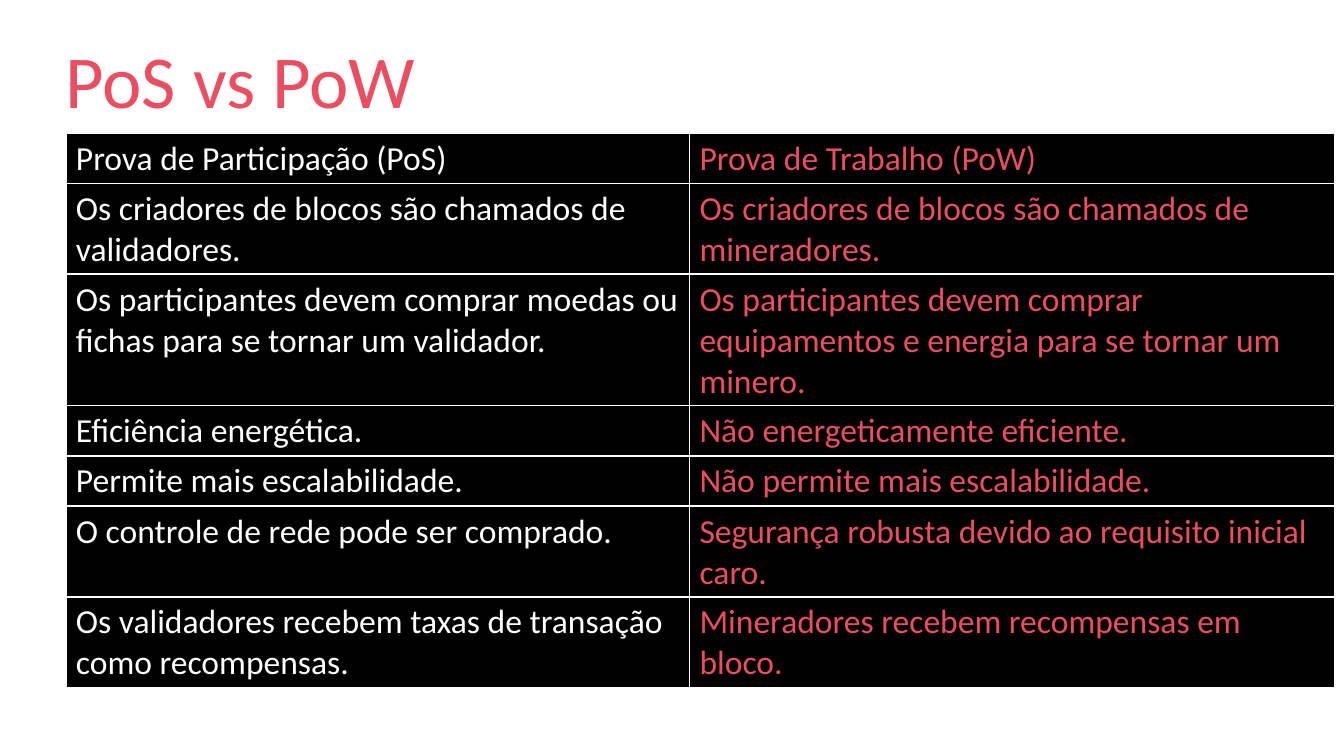
from lxml.etree import SubElement
from pptx import Presentation
from pptx.dml.color import RGBColor
from pptx.enum.text import MSO_AUTO_SIZE as AutoSize
from pptx.oxml.ns import qn
from pptx.util import Inches, Pt

COLORS = {"white": "FFFFFF", "black": "000000", "coral": "EA4E60"}
FONT = "Calibri"
COLUMN_WIDTHS = [4.64, 4.8]
COLUMN_COLORS = ["white", "coral"]

# Row height, then the text of each column
ROWS = [
    (0.37, "Prova de Participação (PoS)", "Prova de Trabalho (PoW)"),
    (0.67, "Os criadores de blocos são chamados de validadores.",
     "Os criadores de blocos são chamados de mineradores."),
    (0.97, "Os participantes devem comprar moedas ou fichas para se tornar um validador.",
     "Os participantes devem comprar equipamentos e energia para se tornar um minero."),
    (0.37, "Eficiência energética.", "Não energeticamente eficiente."),
    (0.37, "Permite mais escalabilidade.", "Não permite mais escalabilidade."),
    (0.67, "O controle de rede pode ser comprado.",
     "Segurança robusta devido ao requisito inicial caro."),
    (0.67, "Os validadores recebem taxas de transação como recompensas.",
     "Mineradores recebem recompensas em bloco."),
]


def write_text(frame, text, *, size, color):
    frame.word_wrap = True
    run = frame.paragraphs[0].add_run()
    run.text = text
    run.font.name = FONT
    run.font.size = Pt(size)
    run.font.color.rgb = RGBColor.from_string(COLORS[color])


def add_title(slide, text):
    box = slide.shapes.add_textbox(Inches(0.39), Inches(0.2), Inches(7.16), Inches(0.77))
    write_text(box.text_frame, text, size=40, color="coral")
    box.text_frame.auto_size = AutoSize.SHAPE_TO_FIT_TEXT


def add_borders(cell, color, width):
    properties = cell._tc.get_or_add_tcPr()
    for side in ("lnL", "lnR", "lnT", "lnB"):
        line = SubElement(properties, qn(f"a:{side}"), w=str(Pt(width)))
        fill = SubElement(line, qn("a:solidFill"))
        SubElement(fill, qn("a:srgbClr"), val=COLORS[color])


def format_cell(cell, text, color):
    cell.margin_left = cell.margin_right = Pt(5.4)
    cell.margin_top = cell.margin_bottom = Pt(2.7)
    # Border lines must come before the fill in the cell properties
    add_borders(cell, "white", 1)
    cell.fill.solid()
    cell.fill.fore_color.rgb = RGBColor.from_string(COLORS["black"])
    write_text(cell.text_frame, text, size=18, color=color)


def add_comparison_table(slide):
    height = sum(row[0] for row in ROWS)
    table = slide.shapes.add_table(
        len(ROWS), len(COLUMN_WIDTHS), Inches(0.49), Inches(0.99),
        Inches(sum(COLUMN_WIDTHS)), Inches(height)).table
    for column, width in zip(table.columns, COLUMN_WIDTHS):
        column.width = Inches(width)
    for row, (row_height, *texts) in zip(table.rows, ROWS):
        row.height = Inches(row_height)
        for cell, text, color in zip(row.cells, texts, COLUMN_COLORS):
            format_cell(cell, text, color)


def main():
    presentation = Presentation()
    # Widescreen, 16:9
    presentation.slide_width = Inches(10)
    presentation.slide_height = presentation.slide_width * 9 // 16
    slide = presentation.slides.add_slide(presentation.slide_layouts[6])

    # Title above the two-column comparison
    add_title(slide, "PoS vs PoW")
    add_comparison_table(slide)

    presentation.save("out.pptx")


if __name__ == "__main__":
    main()
